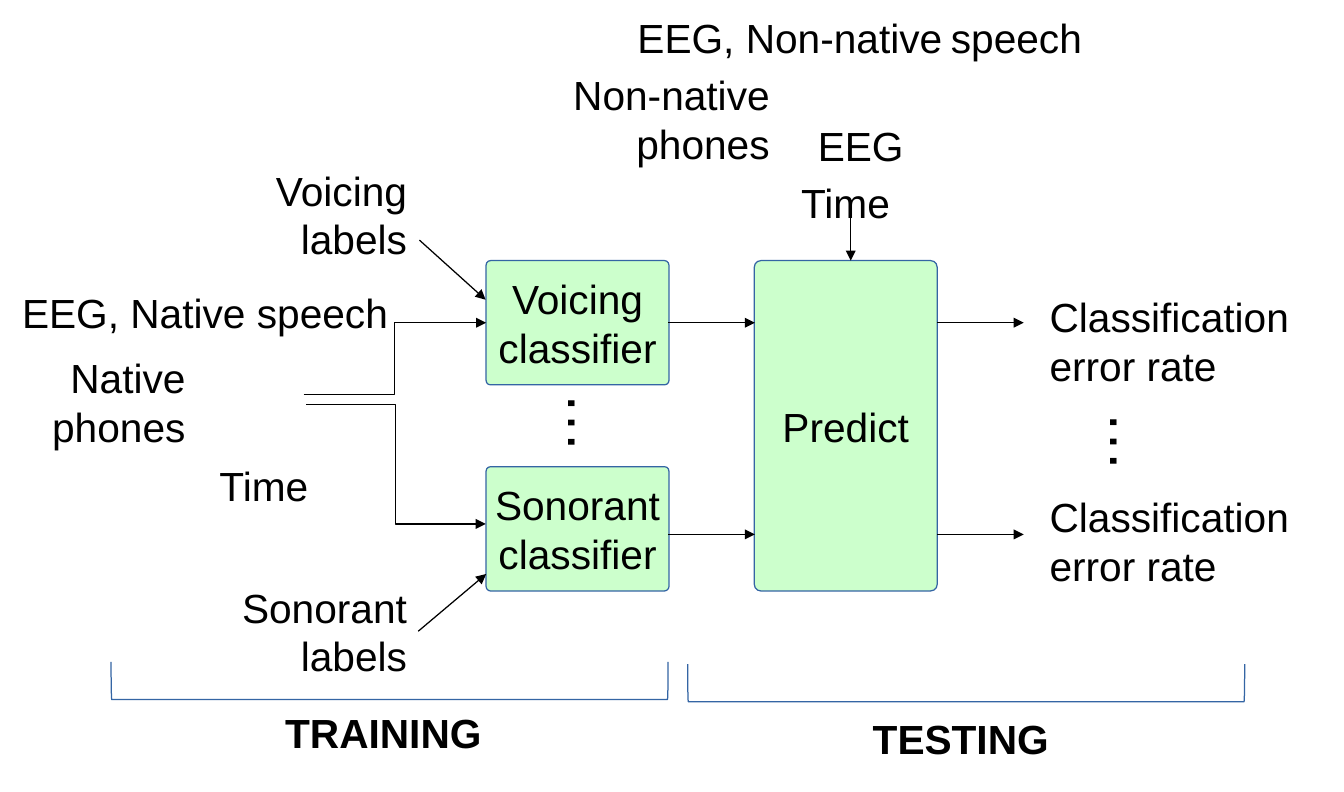
"""Build the slide on training and testing phone classifiers from EEG."""
import pptx
import pptx.util
import pptx.dml.color
import pptx.enum.shapes
import pptx.enum.text
import pptx.oxml
import pptx.oxml.ns

Pt = pptx.util.Pt
SHAPE = pptx.enum.shapes.MSO_SHAPE
LINK = pptx.enum.shapes.MSO_CONNECTOR
ALIGN = pptx.enum.text.PP_ALIGN
ANCHOR = pptx.enum.text.MSO_ANCHOR
AUTO = pptx.enum.text.MSO_AUTO_SIZE

BLACK, GREEN, BLUE = "000000", "CCFFCC", "3465A4"
BOX_X, PREDICT_X, BOX_W, BOX_H = 287.1, 445.5, 108, 73.4
TOP_Y, BOTTOM_Y = 153.9, 275.6


def rgb(color):
    """Turn a hex string into a colour."""
    return pptx.dml.color.RGBColor.from_string(color)


def add_run(p, text, size=24, bold=False):
    """Add a formatted run to a paragraph."""
    r = p.add_run()
    r.text = text
    r.font.name = "Arial"
    r.font.size = Pt(size)
    r.font.bold = bold
    r.font.color.rgb = rgb(BLACK)


def write(tf, text, align=ALIGN.LEFT, **style):
    """Write one paragraph for each line of text."""
    for i, line in enumerate(text.split("\n")):
        p = tf.add_paragraph() if i else tf.paragraphs[0]
        p.alignment = align
        add_run(p, line, **style)


def add_label(s, text, x, y, w, h, **style):
    """Add a wrapping text box."""
    sp = s.shapes.add_textbox(Pt(x), Pt(y), Pt(w), Pt(h))
    sp.text_frame.word_wrap = True
    write(sp.text_frame, text, **style)
    return sp


def add_dots(s, x, y):
    """Add a vertical ellipsis."""
    sp = add_label(s, "…", x, y, 34.6, 51.1, size=36)
    sp.text_frame.auto_size = AUTO.SHAPE_TO_FIT_TEXT
    sp.rotation = 90


def add_outline(s, kind, x, y, w, h, adjust):
    """Add a preset shape with a thin blue line."""
    sp = s.shapes.add_shape(kind, Pt(x), Pt(y), Pt(w), Pt(h))
    sp.shadow.inherit = False
    sp.adjustments[0] = adjust
    sp.line.color.rgb = rgb(BLUE)
    sp.line.width = Pt(0.75)
    return sp


def add_box(s, text, x, y, h):
    """Add a green rounded box with centred text."""
    sp = add_outline(s, SHAPE.ROUNDED_RECTANGLE, x, y, BOX_W, h, 0.036)
    sp.fill.solid()
    sp.fill.fore_color.rgb = rgb(GREEN)
    tf = sp.text_frame
    tf.word_wrap = False
    tf.vertical_anchor = ANCHOR.MIDDLE
    write(tf, text, align=ALIGN.CENTER)


def add_bracket(s, x, y):
    """Add a bracket that opens upwards."""
    sp = add_outline(s, SHAPE.RIGHT_BRACKET, x, y, 22.3, 329, 0.018)
    sp.fill.background()
    sp.rotation = 90


def add_arrow(s, x1, y1, x2, y2, kind=LINK.STRAIGHT):
    """Add a thin black arrow."""
    c = s.shapes.add_connector(kind, Pt(x1), Pt(y1), Pt(x2), Pt(y2))
    c.line.color.rgb = rgb(BLACK)
    c.line.width = Pt(0.75)
    tail = pptx.oxml.parse_xml(
        f'<a:tailEnd {pptx.oxml.ns.nsdecls("a")} type="triangle"/>')
    c.line._get_or_add_ln().append(tail)
    c._element.spPr.append(
        pptx.oxml.parse_xml(f'<a:effectLst {pptx.oxml.ns.nsdecls("a")}/>'))


def main():
    """Build and save the slide."""
    prs = pptx.Presentation()
    prs.slide_width, prs.slide_height = Pt(793.7), Pt(467.72)
    s = prs.slides.add_slide(prs.slide_layouts[6])

    add_box(s, "Voicing\nclassifier", BOX_X, TOP_Y, BOX_H)
    add_box(s, "Sonorant\nclassifier", BOX_X, BOTTOM_Y, BOX_H)
    add_box(s, "Predict", PREDICT_X, TOP_Y, BOTTOM_Y + BOX_H - TOP_Y)

    for text, x, y, w, h in (
        ("EEG, Native speech", 0, 166.3, 236.2, 51.1),
        ("Native phones", -2.9, 205, 119.5, 47.5),
        ("Voicing\nlabels", 99.8, 94.2, 147.6, 47.5),
        ("Sonorant\nlabels", 99.8, 340.5, 147.6, 47.5),
        ("Non-native phones", 293.8, 38, 167.8, 47.5),
        ("EEG", 468, 67.7, 72.7, 12.2),
    ):
        add_label(s, text, x, y, w, h, align=ALIGN.RIGHT)
    for x, y in ((82, 268.4), (425.5, 101.5)):
        add_label(s, "Time", x, y, 147.6, 27.4, align=ALIGN.CENTER)
    for y in (169, 287.1):
        add_label(s, "Classification\nerror rate", 612.7, y, 209.5, 27.4)
    sp = add_label(s, "EEG, Non-native", 369.4, 4.3, 312.5, 28.1)
    p = sp.text_frame.paragraphs[0]
    add_run(p, " ", size=18)
    add_run(p, "speech")

    for x1, y1, x2, y2 in (
        (247.7, 141.8, 286.8, 177),
        (247, 372.8, 287.1, 339),
        (502.4, 128.9, 502.4, TOP_Y),
    ):
        add_arrow(s, x1, y1, x2, y2)
    for y in (190.6, 315.6):
        for x in (394.7, 553.5):
            add_arrow(s, x, y, x + 51.1, y)
    add_arrow(s, 179.3, 233.1, 287.1, 190.6, LINK.ELBOW)
    add_arrow(s, 180.7, 238.9, 286.8, 309.4, LINK.ELBOW)

    add_dots(s, 332.6, 216.6)
    add_dots(s, 652.3, 227.4)
    for text, x, y, bracket_x, bracket_y in (
        ("TRAINING", 161.3, 414.6, 218.9, 237.5),
        ("TESTING", 508.3, 418.2, 559.4, 238.8),
    ):
        add_bracket(s, bracket_x, bracket_y)
        add_label(s, text, x, y, 272.2, 27.4, bold=True)

    prs.save("out.pptx")


if __name__ == "__main__":
    main()
